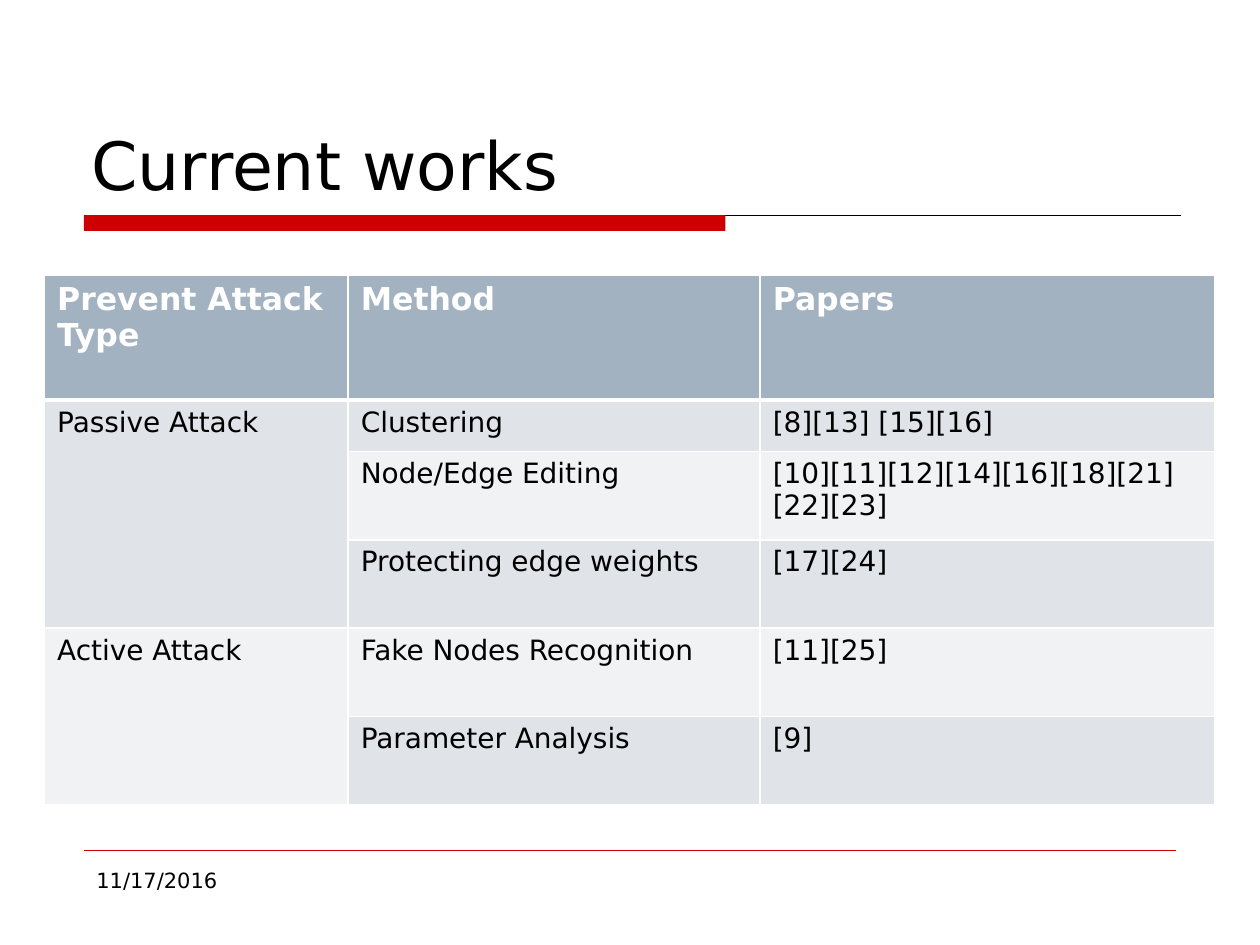
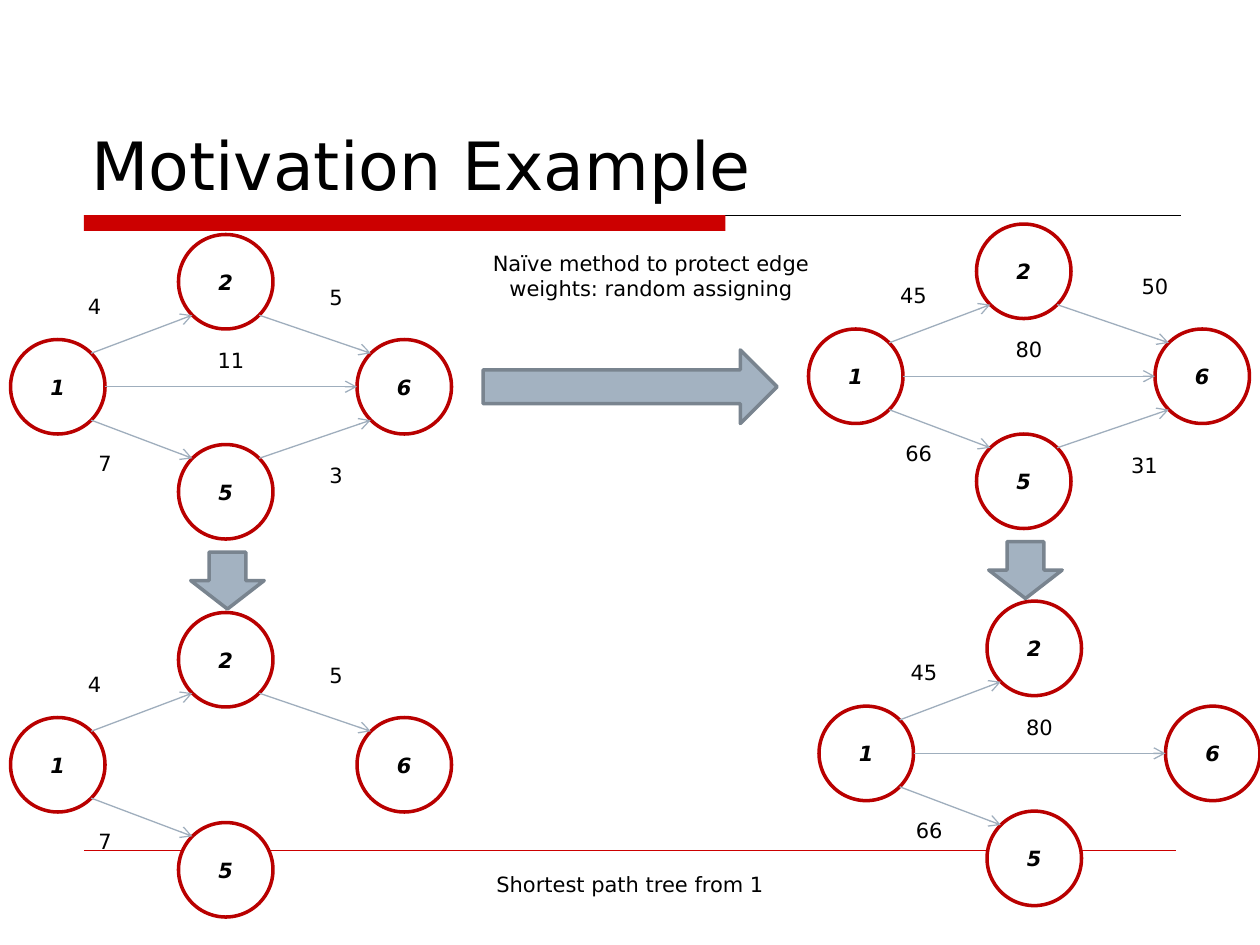
from math import sqrt
from lxml import etree
from pptx import Presentation
from pptx.dml.color import RGBColor
from pptx.enum.shapes import MSO_CONNECTOR, MSO_SHAPE
from pptx.enum.text import MSO_ANCHOR, PP_ALIGN
from pptx.oxml.ns import qn
from pptx.util import Pt

LEFT, CENTER = PP_ALIGN.LEFT, PP_ALIGN.CENTER
MIDDLE, BOTTOM = MSO_ANCHOR.MIDDLE, MSO_ANCHOR.BOTTOM
RECT, OVAL = MSO_SHAPE.RECTANGLE, MSO_SHAPE.OVAL
RIGHT, DOWN = MSO_SHAPE.RIGHT_ARROW, MSO_SHAPE.DOWN_ARROW
STRAIGHT = MSO_CONNECTOR.STRAIGHT
FONT = "DejaVu Sans"
HUES = {
    "red": "CC0000", "ring": "B90000", "edge": "9FAEBD", "steel": "A3B2C1",
    "rim": "79848F", "dark": "E0E4E9", "light": "F0F2F4",
    "white": "FFFFFF", "black": "000000",
}

WORKS = "Current works"
DATE = "11/17/2016"
ROWS = [
    ("Prevent Attack Type", "Method", "Papers"),
    ("Passive Attack", "Clustering", "[8][13] [15][16]"),
    ("", "Node/Edge Editing", "[10][11][12][14][16][18][21][22][23]"),
    ("", "Protecting edge weights", "[17][24]"),
    ("Active Attack", "Fake Nodes Recognition", "[11][25]"),
    ("", "Parameter Analysis", "[9]"),
]
FILLS = ["steel", "dark", "light", "dark", "light", "dark"]
SPANS = [(1, 3), (4, 5)]
WIDTHS = [173.5, 235.4, 260]
HEIGHTS = [71.5, 29.5] + [50.5] * 4

MOTIVE = "Motivation Example"
NOTES = [
    ("Naïve method to protect edge weights: random assigning", 372, 139.7, 36),
    ("Shortest path tree from 1", 360, 494.6, 21.6),
]
SIZE = 54
NODES = {"2": (96, 0), "1": (0, 60), "5": (96, 120), "6": (198, 60)}
TOPS = {"12": 30, "26": 25, "15": 120, "56": 127, "16": 61}
PLAIN = {"12": ("4", 48), "26": ("5", 186), "15": ("7", 54),
         "56": ("3", 186), "16": ("11", 126)}
MASKED = {"12": ("45", 60), "26": ("50", 198), "15": ("66", 63),
          "56": ("31", 192), "16": ("80", 126)}
GRAPHS = [
    (6, 134, PLAIN, TOPS),
    (462, 128, MASKED, TOPS),
    (6, 350, PLAIN, ["12", "26", "15"]),
    (468, 343.5, MASKED, ["12", "15", "16"]),
]


def hue(name):
    return RGBColor.from_string(HUES[name])


def write(frame, text, size, align=LEFT, color="black", bold=False, slant=False):
    frame.word_wrap = True
    para = frame.paragraphs[0]
    para.text = text
    para.alignment = align
    font = para.font
    font.name, font.size = FONT, Pt(size)
    font.bold, font.italic = bold, slant
    font.color.rgb = hue(color)


def shape(slide, kind, box, fill, line=None):
    item = slide.shapes.add_shape(kind, *map(Pt, box))
    item.shadow.inherit = False
    item.fill.solid()
    item.fill.fore_color.rgb = hue(fill)
    if line:
        item.line.color.rgb = hue(line)
        item.line.width = Pt(2)
    else:
        item.line.fill.background()
    return item


def rule(slide, ends, color, width, arrow=False):
    item = slide.shapes.add_connector(STRAIGHT, *map(Pt, ends))
    item.line.color.rgb = hue(color)
    item.line.width = Pt(width)
    if arrow:
        etree.SubElement(item.line._get_or_add_ln(), qn("a:tailEnd"), type="arrow")
    etree.SubElement(item._element.spPr, qn("a:effectLst"))


def label(slide, text, box, align=CENTER):
    area = slide.shapes.add_textbox(*map(Pt, box))
    write(area.text_frame, text, 12, align)


def start(deck, text):
    slide = deck.slides.add_slide(deck.slide_layouts[5])
    rule(slide, (48, 123, 675, 123), "black", 0.75)
    shape(slide, RECT, (48, 123, 366.5, 9), "red")
    rule(slide, (48, 486, 672, 486), "red", 0.25)
    title = slide.shapes.title
    title.left, title.top, title.width, title.height = map(Pt, (45, 24, 630, 96))
    title.text_frame.vertical_anchor = BOTTOM
    write(title.text_frame, text, 38)
    return slide


def border(cell, widths):
    props = cell._tc.get_or_add_tcPr()
    for spot, (side, width) in enumerate(zip("LRTB", widths)):
        line = etree.Element(qn("a:ln" + side), w=str(Pt(width)))
        fill = etree.SubElement(line, qn("a:solidFill"))
        etree.SubElement(fill, qn("a:srgbClr"), val=HUES["white"])
        props.insert(spot, line)


def works(deck):
    slide = start(deck, WORKS)
    label(slide, DATE, (48, 492, 156, 37.5), LEFT)
    box = map(Pt, (25.5, 157, sum(WIDTHS), sum(HEIGHTS)))
    grid = slide.shapes.add_table(len(ROWS), len(WIDTHS), *box).table
    for col, width in zip(grid.columns, WIDTHS):
        col.width = Pt(width)
    for r, texts in enumerate(ROWS):
        grid.rows[r].height = Pt(HEIGHTS[r])
        head = r == 0
        for c, text in enumerate(texts):
            cell = grid.cell(r, c)
            cell.fill.solid()
            cell.fill.fore_color.rgb = hue(FILLS[r])
            border(cell, (1, 1, 3 if r == 1 else 1, 3 if head else 1))
            write(cell.text_frame, text, 18 if head else 16,
                  color="white" if head else "black", bold=head)
    for top, end in SPANS:
        grid.cell(top, 0).merge(grid.cell(end, 0))


def graph(slide, left, top, weights, edges):
    half = SIZE / 2
    for name, (x, y) in NODES.items():
        node = shape(slide, OVAL, (left + x, top + y, SIZE, SIZE), "white", "ring")
        node.text_frame.vertical_anchor = MIDDLE
        write(node.text_frame, name, 12, CENTER, bold=True, slant=True)
    for edge in edges:
        (ax, ay), (bx, by) = (NODES[name] for name in edge)
        slope = (by > ay) - (by < ay)
        dx = half / sqrt(2) if slope else half
        dy = slope * dx
        x, y = left + half, top + half
        rule(slide, (x + ax + dx, y + ay + dy, x + bx - dx, y + by - dy),
             "edge", 0.75, True)
        text, mid = weights[edge]
        label(slide, text, (left + mid - 24, top + TOPS[edge], 48, 21.6))


def motive(deck):
    slide = start(deck, MOTIVE)
    for item in GRAPHS:
        graph(slide, *item)
    for left, top, *_ in GRAPHS[:2]:
        shape(slide, DOWN, (left + 103, top + 181.5, 42, 32.5), "steel", "rim")
    arrow = shape(slide, RIGHT, (276, 200, 168, 42), "steel", "rim")
    arrow.adjustments[0] = 0.46
    for text, mid, top, height in NOTES:
        label(slide, text, (mid - 102, top, 204, height))


def main():
    deck = Presentation()
    deck.slide_width, deck.slide_height = Pt(720), Pt(540)
    works(deck)
    motive(deck)
    deck.save("out.pptx")


if __name__ == "__main__":
    main()
